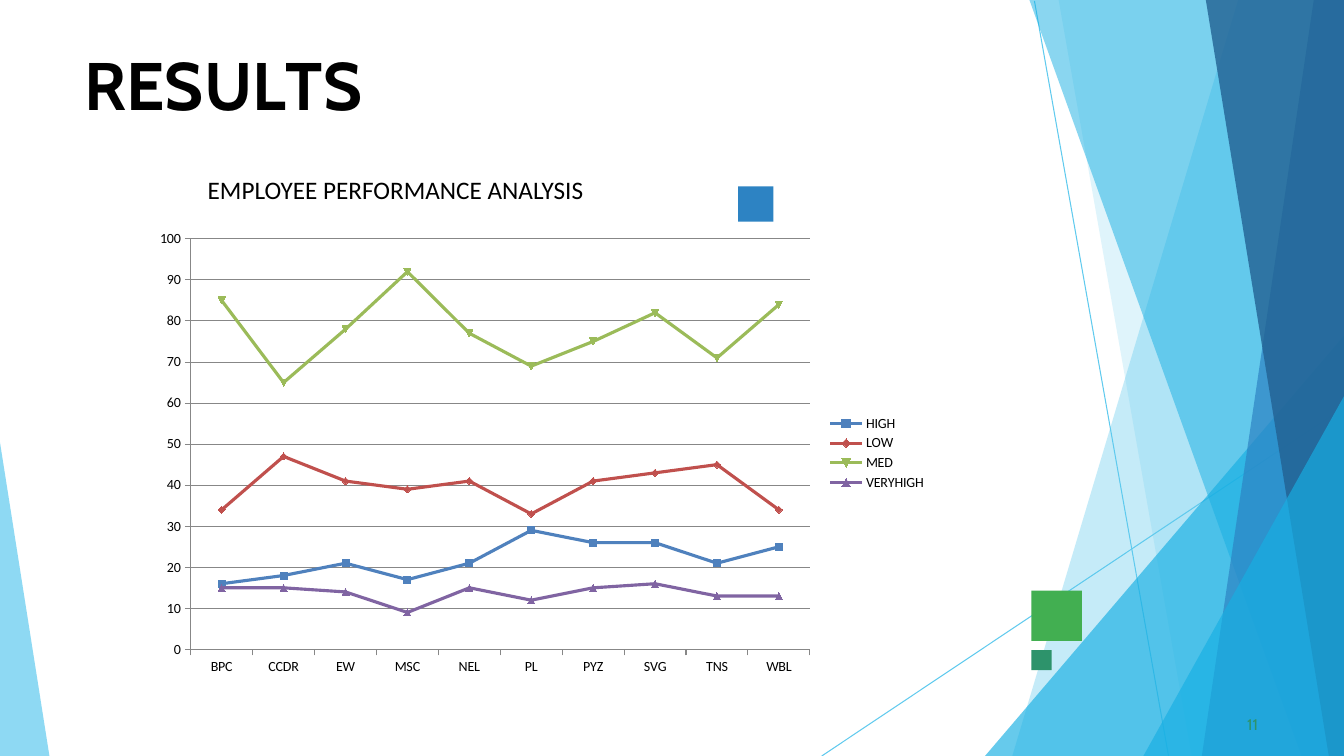
from lxml import etree
from pptx import Presentation
from pptx.chart.data import CategoryChartData
from pptx.dml.color import RGBColor
from pptx.enum.chart import XL_CHART_TYPE, XL_LEGEND_POSITION, XL_TICK_MARK
from pptx.enum.shapes import MSO_CONNECTOR, MSO_SHAPE
from pptx.enum.text import MSO_ANCHOR, MSO_AUTO_SIZE, PP_ALIGN
from pptx.oxml.ns import qn
from pptx.util import Inches, Pt


def paint(color_format, color, alpha=100):
    color_format.rgb = RGBColor.from_string(color)
    if alpha < 100:
        srgb = color_format._xFill.find(qn("a:srgbClr"))
        etree.SubElement(srgb, qn("a:alpha")).set("val", str(alpha * 1000))


def place_text(shape, left, top, width, height, margin_top=0):
    shape.left, shape.top = Inches(left), Inches(top)
    shape.width, shape.height = Inches(width), Inches(height)
    frame = shape.text_frame
    frame.margin_left = frame.margin_right = frame.margin_bottom = 0
    frame.margin_top = Inches(margin_top)
    frame.word_wrap = True
    frame.auto_size = MSO_AUTO_SIZE.SHAPE_TO_FIT_TEXT
    frame.vertical_anchor = MSO_ANCHOR.TOP
    paragraph = frame.paragraphs[0]
    paragraph.alignment = PP_ALIGN.LEFT
    return paragraph


presentation = Presentation()
presentation.slide_width = Inches(13.33)
presentation.slide_height = Inches(7.5)
slide = presentation.slides.add_slide(presentation.slide_layouts[1])
shapes = slide.shapes

# Thin lines behind the facets
for x1, y1, x2, y2 in [(10.26, 0.01, 11.59, 7.5), (13.33, 4.04, 8.15, 7.5)]:
    line = shapes.add_connector(
        MSO_CONNECTOR.STRAIGHT, Inches(x1), Inches(y1), Inches(x2), Inches(y2))
    paint(line.line.color, "5FCAEE")
    line.line.width = Pt(0.75)
    etree.SubElement(line._element.spPr, qn("a:effectLst"))

# Translucent facets: corner points, colour, opacity in percent
right, bottom = 13.33, 7.5
facets = [
    ([(right, 0), (12.28, 0), (10.04, bottom), (right, bottom)], "5FCAEE", 36),
    ([(right, 0), (10.5, 0), (11.82, bottom), (right, bottom)], "5FCAEE", 20),
    ([(right, 3.33), (9.77, bottom), (right, bottom)], "17AFE3", 66),
    ([(right, 0), (10.21, 0), (12.91, bottom), (right, bottom)], "17AFE3", 50),
    ([(right, 0), (13.03, 0), (11.92, bottom), (right, bottom)], "2D83C3", 70),
    ([(right, 0), (11.96, 0), (13.18, bottom), (right, bottom)], "226192", 80),
    ([(right, 3.93), (11.34, bottom), (right, bottom)], "17AFE3", 66),
    ([(0, 4.39), (0, bottom), (0.49, bottom)], "5FCAEE", 70),
]
for corners, color, alpha in facets:
    points = [(Inches(x), Inches(y)) for x, y in corners]
    builder = shapes.build_freeform(*points[0])
    builder.add_line_segments(points[1:], close=True)
    facet = builder.convert_to_shape()
    facet.shadow.inherit = False
    facet.fill.solid()
    paint(facet.fill.fore_color, color, alpha)
    facet.line.fill.background()

# Small accent squares
for left, top, size, color in [
    (10.23, 5.86, 0.5, "42AF51"),
    (7.32, 1.85, 0.35, "2D83C3"),
    (10.23, 6.45, 0.2, "2D936B"),
]:
    square = shapes.add_shape(
        MSO_SHAPE.RECTANGLE, Inches(left), Inches(top), Inches(size), Inches(size))
    square.shadow.inherit = False
    square.fill.solid()
    paint(square.fill.fore_color, color)
    square.line.fill.background()

# Title, with its own letter spacing in hundredths of a point
paragraph = place_text(shapes.title, 0.83, 0.42, 11.68, 0.83, margin_top=0.01)
paragraph.space_before = Pt(1.1)
paragraph._p.get_or_add_pPr().set("marL", str(Inches(0.01)))
for letters, spacing in [("R", 0), ("E", -40), ("S", 10), ("U", -30), ("L", -400), ("TS", 0)]:
    run = paragraph.add_run()
    run.text = letters
    run.font.name, run.font.size, run.font.bold = "Cabin", Pt(48), True
    paint(run.font.color, "000000")
    run._r.get_or_add_rPr().set("spc", str(spacing))

# Chart heading
paragraph = place_text(slide.placeholders[1], 2.06, 1.73, 10.61, 0.3)
paragraph.text = "EMPLOYEE PERFORMANCE ANALYSIS"
paragraph.space_before = Pt(0)
properties = paragraph._p.get_or_add_pPr()
properties.set("marL", "0")
properties.set("indent", "0")
etree.SubElement(properties, qn("a:buNone"))
font = paragraph.runs[0].font
font.name, font.size = "Calibri", Pt(18)
paint(font.color, "000000")

# Page number
number_box = shapes.add_textbox(0, 0, 0, 0)
paragraph = place_text(number_box, 12.33, 7.08, 0.25, 0.21, margin_top=0.01)
paragraph.text = "11"
paragraph.space_before = Pt(0.6)
paragraph._p.get_or_add_pPr().set("marL", str(Inches(0.04)))
font = paragraph.runs[0].font
font.name, font.size = "Cabin", Pt(11)
paint(font.color, "2D936B")

# Performance chart
performance = [
    ("HIGH", [16, 18, 21, 17, 21, 29, 26, 26, 21, 25], "4F81BD"),
    ("LOW", [34, 47, 41, 39, 41, 33, 41, 43, 45, 34], "C0504D"),
    ("MED", [85, 65, 78, 92, 77, 69, 75, 82, 71, 84], "9BBB59"),
    ("VERYHIGH", [15, 15, 14, 9, 15, 12, 15, 16, 13, 13], "8064A2"),
]
chart_data = CategoryChartData()
chart_data.categories = ["BPC", "CCDR", "EW", "MSC", "NEL", "PL", "PYZ", "SVG", "TNS", "WBL"]
for name, values, color in performance:
    chart_data.add_series(name, values)
chart = shapes.add_chart(
    XL_CHART_TYPE.LINE_MARKERS, Inches(1.43), Inches(2.2), Inches(7.86), Inches(4.59),
    chart_data).chart
chart.has_title = False
chart.font.name, chart.font.size = "Calibri", Pt(10)
paint(chart.font.color, "000000")
chart.has_legend = True
chart.legend.position = XL_LEGEND_POSITION.RIGHT
chart.legend.include_in_layout = False

chart.plots[0].vary_by_categories = False
for series, (name, values, color) in zip(chart.plots[0].series, performance):
    series.smooth = False
    series.format.line.width = Pt(2.25)
    paint(series.format.line.color, color)
    series.marker.format.fill.solid()
    paint(series.marker.format.fill.fore_color, color)
    paint(series.marker.format.line.color, color)

value_axis = chart.value_axis
value_axis.minimum_scale, value_axis.maximum_scale, value_axis.major_unit = 0, 100, 10
value_axis.has_major_gridlines = True
paint(value_axis.major_gridlines.format.line.color, "878787")
for axis in (chart.category_axis, value_axis):
    axis.major_tick_mark = XL_TICK_MARK.OUTSIDE
    paint(axis.format.line.color, "878787")

presentation.save("out.pptx")
